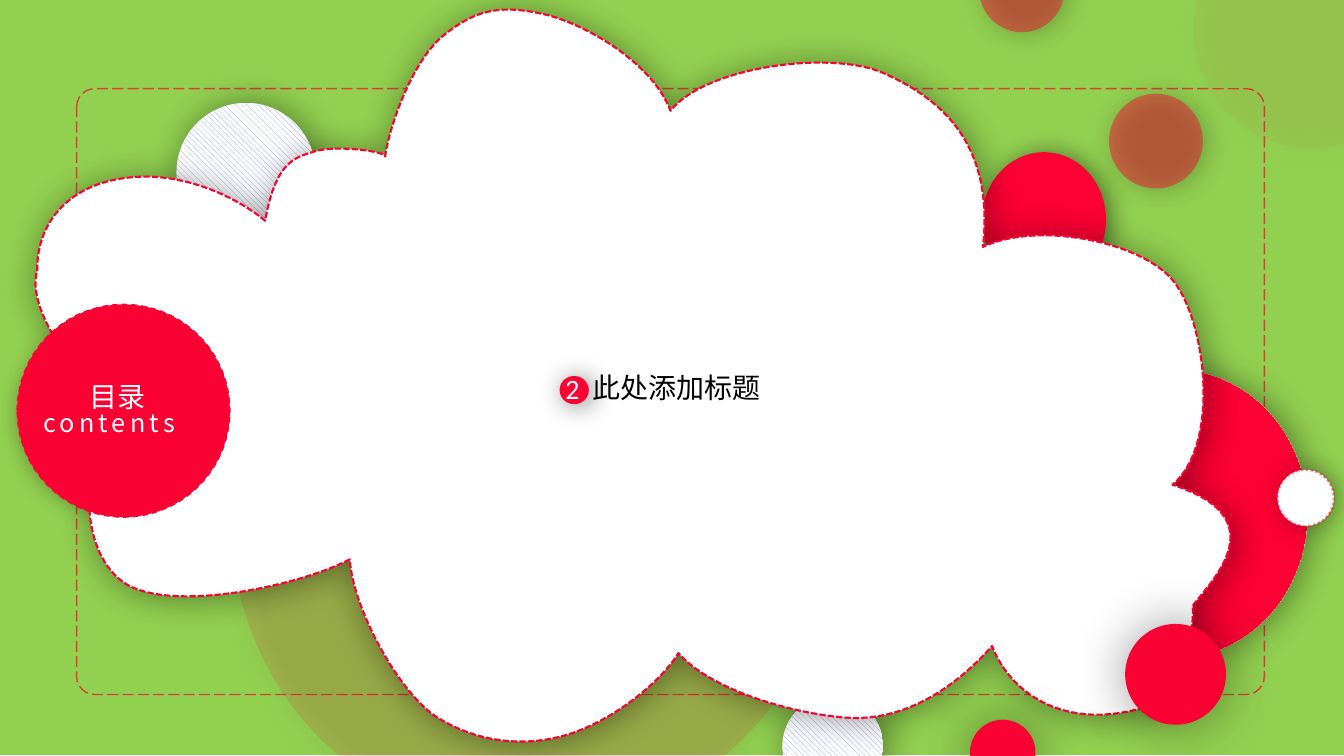
from dataclasses import dataclass

from lxml.etree import SubElement
from pptx import Presentation
from pptx.dml.color import RGBColor
from pptx.enum.dml import MSO_LINE, MSO_PATTERN
from pptx.enum.shapes import MSO_SHAPE
from pptx.enum.text import MSO_ANCHOR, MSO_AUTO_SIZE, PP_ALIGN
from pptx.oxml.ns import qn
from pptx.util import Inches, Pt


@dataclass(frozen=True)
class Theme:
    green: str = "92D050"
    red: str = "FC0133"
    deep_red: str = "F90132"
    badge_red: str = "FA0133"
    hatch: str = "869FE7"
    white: str = "FFFFFF"
    black: str = "000000"
    cjk: str = "Noto Sans CJK JP"
    latin: str = "Calibri"
    title: int = 20
    subtitle: int = 18


T = Theme()
SOFT = (50, 19, 3, 25)
HATCHED = (40, 25, 3, 0)
DOT = (40, 39, 0, 139)
CLOUD_BOX = (0.35, 0.1, 11.86, 7.26)
CLOUD_START = (3.82, 1.56)
CLOUD_CURVES = [
    (3.85, 1.3, 4.07, 0.63, 4.39, 0.36),
    (4.72, 0.09, 4.97, 0.04, 5.43, 0.15),
    (5.88, 0.27, 6.49, 0.66, 6.65, 1.1),
    (7, 0.66, 8.23, 0.5, 8.75, 0.72),
    (9.27, 0.95, 9.87, 1.37, 9.75, 2.45),
    (10.3, 2.19, 11.33, 2.4, 11.64, 2.79),
    (11.96, 3.19, 12.11, 4.4, 11.63, 4.81),
    (12.66, 5.14, 12.03, 5.75, 11.83, 6.01),
    (11.85, 6.37, 11.69, 6.79, 11.44, 6.99),
    (10.6, 7.28, 10.03, 6.9, 9.84, 6.41),
    (9.43, 6.87, 8.93, 7.16, 8.39, 7.12),
    (7.85, 7.08, 7.04, 6.84, 6.73, 6.48),
    (6.53, 6.8, 6.03, 7.18, 5.59, 7.3),
    (5.15, 7.42, 4.69, 7.35, 4.31, 7.1),
    (3.94, 6.84, 3.5, 6.03, 3.47, 5.55),
    (3, 5.8, 1.75, 6.08, 1.26, 5.8),
    (0.78, 5.51, 0.76, 4.57, 1.2, 3.97),
    (0.85, 3.91, 0.24, 3.07, 0.37, 2.69),
    (0.36, 2.19, 0.71, 1.81, 1.3, 1.76),
    (1.78, 1.71, 2.3, 1.92, 2.63, 2.19),
    (2.74, 1.57, 2.95, 1.56, 3.13, 1.5),
    (3.34, 1.44, 3.85, 1.5, 3.82, 1.56),
]


class SlideBuilder:
    """Draws styled elements on the current slide or group."""

    def __init__(self, prs, theme):
        self.theme = theme
        self.slide = prs.slides.add_slide(prs.slide_layouts[5])
        self.shapes = self.slide.shapes

    def group(self):
        self.shapes = self.slide.shapes.add_group_shape().shapes

    def paint(self, fill, owner, color, alpha):
        fill.solid()
        fill.fore_color.rgb = RGBColor.from_string(color)
        if alpha < 100:
            clr = next(owner.iter(qn("a:srgbClr")))
            SubElement(clr, qn("a:alpha"), val=str(alpha * 1000))

    def style(self, sp, fill=None, alpha=100, pattern=None, line=None, shadow=None):
        sp.shadow.inherit = False
        if pattern:
            sp.fill.patterned()
            sp.fill.pattern = pattern
            sp.fill.fore_color.rgb = RGBColor.from_string(fill)
            sp.fill.back_color.rgb = RGBColor.from_string(self.theme.white)
        elif fill:
            self.paint(sp.fill, sp.element, fill, alpha)
        else:
            sp.fill.background()
        if line:
            color, width, dash, line_alpha = line
            sp.line.width = Pt(width)
            outline = next(sp.element.iter(qn("a:ln")))
            self.paint(sp.line.fill, outline, color, line_alpha)
            sp.line.dash_style = dash
        else:
            sp.line.fill.background()
        if shadow:
            self.cast_shadow(sp, *shadow)
        return sp

    def cast_shadow(self, sp, alpha, blur, dist, angle):
        effects = next(sp.element.iter(qn("a:effectLst")))
        outer = SubElement(effects, qn("a:outerShdw"), blurRad=str(Pt(blur)),
                           dist=str(Pt(dist)), dir=str(angle * 60000),
                           algn="ctr", rotWithShape="0")
        clr = SubElement(outer, qn("a:srgbClr"), val=self.theme.black)
        SubElement(clr, qn("a:alpha"), val=str(alpha * 1000))

    def shape(self, kind, box, **look):
        sp = self.shapes.add_shape(kind, *map(Inches, box))
        return self.style(sp, **look)

    def circle(self, box, fill, **look):
        return self.shape(MSO_SHAPE.OVAL, box, fill=fill, **look)

    def curve(self, box, start, curves, **look):
        fb = self.shapes.build_freeform(*map(Inches, start))
        fb.add_line_segments([tuple(map(Inches, c[4:])) for c in curves])
        sp = fb.convert_to_shape()
        sp.left, sp.top, sp.width, sp.height = map(Inches, box)
        outline = next(sp.element.iter(qn("a:path")))
        outline.set("w", str(sp.width))
        outline.set("h", str(sp.height))
        for child in list(outline):
            outline.remove(child)
        steps = [("a:moveTo", start)] + [("a:cubicBezTo", c) for c in curves]
        for tag, coords in steps:
            step = SubElement(outline, qn(tag))
            for x, y in zip(coords[::2], coords[1::2]):
                SubElement(step, qn("a:pt"), x=str(Inches(x) - sp.left),
                           y=str(Inches(y) - sp.top))
        SubElement(outline, qn("a:close"))
        return self.style(sp, **look)

    def set_text(self, sp, text, size, color, font, spacing=0):
        tf = sp.text_frame
        tf.text = text
        tf.word_wrap = False
        tf.auto_size = MSO_AUTO_SIZE.SHAPE_TO_FIT_TEXT
        tf.vertical_anchor = MSO_ANCHOR.TOP
        p = tf.paragraphs[0]
        p.alignment = PP_ALIGN.LEFT
        p.font.size = Pt(size)
        p.font.name = font
        p.font.color.rgb = RGBColor.from_string(color)
        props = next(sp.element.iter(qn("a:defRPr")))
        SubElement(props, qn("a:ea"), typeface=font)
        if spacing:
            props.set("spc", str(spacing * 100))

    def text(self, box, *args, **kwargs):
        self.set_text(self.shapes.add_textbox(*map(Inches, box)), *args, **kwargs)

    def title(self, box, *args):
        sp = self.slide.shapes.title
        sp.left, sp.top, sp.width, sp.height = map(Inches, box)
        self.set_text(sp, *args)
        sp.element.getparent().append(sp.element)


def main():
    prs = Presentation()
    prs.slide_width, prs.slide_height = Inches(13.33), Inches(7.5)
    s = SlideBuilder(prs, T)

    s.shape(MSO_SHAPE.RECTANGLE, (0, -0.01, 13.34, 7.5), fill=T.green)
    frame = s.shape(MSO_SHAPE.ROUNDED_RECTANGLE, (0.76, 0.88, 11.78, 6.01),
                    line=(T.badge_red, 1, MSO_LINE.LONG_DASH, 70))
    frame.adjustments[0] = 0.03

    s.group()
    diagonal = MSO_PATTERN.WIDE_DOWNWARD_DIAGONAL
    s.circle((9.74, 1.51, 1.23, 1.34), T.red, shadow=SOFT)
    s.circle((7.76, 6.9, 1, 1), T.hatch, pattern=diagonal, shadow=HATCHED)
    s.circle((10.34, 3.67, 2.63, 2.86), T.red,
             pattern=MSO_PATTERN.DARK_VERTICAL, shadow=(40, 24, 3, 0))
    s.circle((0.19, 3.21, 1.63, 1.78), T.red, shadow=SOFT)
    s.circle((1.75, 1.02, 1.38, 1.38), T.hatch, pattern=diagonal, shadow=HATCHED)
    s.circle((2.3, 2.21, 5.95, 5.99), T.red, alpha=13, shadow=SOFT)
    s.curve(CLOUD_BOX, CLOUD_START, CLOUD_CURVES, fill=T.white,
            line=(T.deep_red, 1.5, MSO_LINE.SQUARE_DOT, 100), shadow=(40, 26, 3, 45))
    s.circle((12.67, 4.66, 0.56, 0.56), T.white,
             line=(T.deep_red, 1.75, MSO_LINE.ROUND_DOT, 45), shadow=(34, 18, 3, 0))
    s.circle((9.62, 7.14, 0.65, 0.65), T.deep_red, shadow=DOT)
    for box, alpha in [((11, 0.93, 0.93, 0.94), 46), ((9.71, -0.54, 0.85, 0.86), 46),
                       ((11.84, -0.87, 2.33, 2.34), 4)]:
        s.circle(box, T.red, alpha=alpha, shadow=SOFT)
    s.circle((11.16, 6.19, 1, 1), T.deep_red, shadow=DOT)

    s.group()
    s.text((5.78, 3.63, 1.88, 0.44), "此处添加标题", T.title, T.black, T.cjk)
    s.circle((5.55, 3.73, 0.29, 0.28), T.red, shadow=SOFT)
    s.text((5.51, 3.64, 0.37, 0.44), "2", T.title, T.white, T.latin)

    s.group()
    s.circle((0.17, 3.02, 2.11, 2.11), T.badge_red,
             line=(T.badge_red, 1, MSO_LINE.DASH, 100))
    s.text((0.33, 3.99, 1.81, 0.4), "contents", T.subtitle, T.white, T.cjk, spacing=3)
    s.title((0.79, 3.71, 0.76, 0.44), "目录", T.title, T.white, T.cjk)

    prs.save("out.pptx")


if __name__ == "__main__":
    main()
